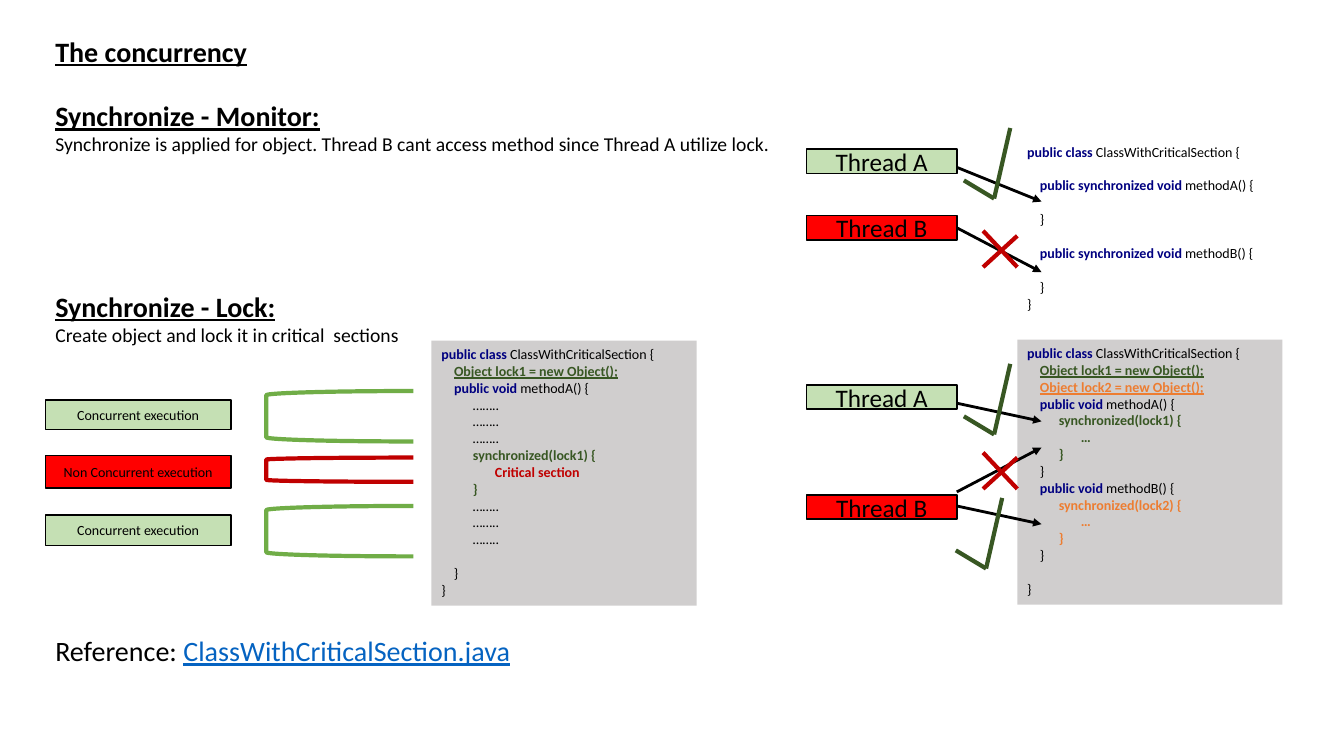
from pptx import Presentation
from pptx.dml.color import RGBColor
from pptx.enum.shapes import MSO_CONNECTOR, MSO_SHAPE
from pptx.enum.text import MSO_ANCHOR, MSO_AUTO_SIZE, PP_ALIGN
from pptx.oxml.xmlchemy import OxmlElement
from pptx.util import Emu, Pt

RECT, BRACKET = MSO_SHAPE.RECTANGLE, MSO_SHAPE.LEFT_BRACKET
STRAIGHT = MSO_CONNECTOR.STRAIGHT
TOP, MIDDLE = MSO_ANCHOR.TOP, MSO_ANCHOR.MIDDLE
GROW = MSO_AUTO_SIZE.SHAPE_TO_FIT_TEXT
CENTER, LEFT = PP_ALIGN.CENTER, PP_ALIGN.LEFT

BLACK = RGBColor(0x00, 0x00, 0x00)
NAVY = RGBColor(0x00, 0x00, 0x80)
BLUE = RGBColor(0x05, 0x63, 0xC1)
GRAY = RGBColor(0xD0, 0xCE, 0xCE)
PALE = RGBColor(0xC5, 0xE0, 0xB4)
GREEN = RGBColor(0x70, 0xAD, 0x47)
DARK = RGBColor(0x38, 0x57, 0x23)
RED = RGBColor(0xFF, 0x00, 0x00)
CRIMSON = RGBColor(0xC0, 0x00, 0x00)
ORANGE = RGBColor(0xED, 0x7D, 0x31)

PX = 9144
FONT = "Calibri"
CODE = 10
PITCH = 12.2


class Board:
    def __init__(self, slide):
        self.slide = slide

    def place(self, *nums):
        return [Emu(n * PX) for n in nums]

    def style(self, run, size, color=BLACK, bold=False, under=False):
        font = run.font
        font.name, font.size = FONT, Pt(size)
        font.bold, font.underline = bold, under
        font.color.rgb = color

    def shape(self, kind, box, fill=None, line=None, width=1):
        item = self.slide.shapes.add_shape(kind, *self.place(*box))
        item.shadow.inherit = False
        if fill is None:
            item.fill.background()
        else:
            item.fill.solid()
            item.fill.fore_color.rgb = fill
        if line is None:
            item.line.fill.background()
        else:
            item.line.color.rgb = line
            item.line.width = Pt(width)
        return item

    def label(self, box, text, size, fill):
        frame = self.shape(RECT, box, fill, BLACK).text_frame
        frame.text = text
        frame.word_wrap = True
        frame.vertical_anchor = MIDDLE
        para = frame.paragraphs[0]
        para.alignment = CENTER
        self.style(para.runs[0], size)

    def text(self, box, *lines):
        frame = self.slide.shapes.add_textbox(*self.place(*box)).text_frame
        frame.word_wrap = False
        frame.auto_size = GROW
        for i, line in enumerate(lines):
            para = frame.add_paragraph() if i else frame.paragraphs[0]
            for text, *look in line:
                run = para.add_run()
                run.text = text
                self.style(run, *look)

    def code(self, box, lines, fill=None):
        frame = self.shape(RECT, box, fill).text_frame
        frame.word_wrap = True
        frame.vertical_anchor = TOP
        para, gap = frame.paragraphs[0], 0
        for i, line in enumerate(lines):
            if not line:
                gap += PITCH
                continue
            if i:
                para = frame.add_paragraph()
            para.alignment = LEFT
            if gap:
                para.space_before = Pt(gap)
                gap = 0
            indent, *parts = line
            if indent:
                parts.insert(0, (" " * indent, BLACK))
            for text, *look in parts:
                run = para.add_run()
                run.text = text
                self.style(run, CODE, *look)

    def line(self, ends, color, width, head=False):
        item = self.slide.shapes.add_connector(STRAIGHT, *self.place(*ends))
        item.line.color.rgb = color
        item.line.width = Pt(width)
        if head:
            tip = OxmlElement("a:tailEnd")
            tip.set("type", "triangle")
            item.line._get_or_add_ln().append(tip)
        item._element.spPr.append(OxmlElement("a:effectLst"))

    def thread(self, name, y, fill):
        self.label((800, y, 149, 24), f"Thread {name}", 18, fill)

    def arrow(self, start, end):
        self.line((949, start, 1033, end), BLACK, 2, True)

    def check(self, x, y):
        self.line((x, y, x + 30, y + 18), DARK, 3)
        self.line((x + 30, y + 18, x + 46, y - 52), DARK, 3)

    def cross(self, x, y):
        self.line((x, y, x + 34, y + 36), CRIMSON, 3)
        self.line((x, y + 36, x + 34, y + 5), CRIMSON, 3)


def opening():
    return (0, ("public class ", NAVY, True), ("ClassWithCriticalSection {", BLACK))


def method(name, words="public void "):
    return (4, (words, NAVY, True), (f"method{name}() {{", BLACK))


def lock(num, color):
    return (4, (f"Object lock{num} = new Object();", color, True, True))


def sync(num, color, indent, body, tint):
    return [(10, (f"synchronized(lock{num}) {{", color, True)),
            (indent, (body, tint, True)),
            (10, ("}", color, True))]


def main():
    deck = Presentation()
    deck.slide_width, deck.slide_height = Emu(1333 * PX), Emu(750 * PX)
    board = Board(deck.slides.add_slide(deck.slide_layouts[6]))

    head = (20, BLACK, True, True)
    board.text((45, 29, 219, 44), [("The concurrency", *head)])
    board.text((45, 93, 739, 67), [("Synchronize - Monitor:", *head)],
               [("Synchronize is applied for object. Thread B cant access method "
                 "since Thread A utilize lock.", 14)])
    board.text((45, 282, 365, 67), [("Synchronize - Lock:", *head)],
               [("Create object and lock it in critical  sections", 14)])
    board.text((45, 624, 477, 44), [("Reference: ", 20),
               ("ClassWithCriticalSection.java", 20, BLUE, False, True)])

    close, end = (4, ("}", BLACK)), (0, ("}", BLACK))
    dots = [(10, ("……..", BLACK))] * 3
    board.code((428, 338, 263, 263), [
        opening(), lock(1, DARK), method("A"), *dots,
        *sync(1, DARK, 17, "Critical section", CRIMSON),
        *dots, (), close, end], GRAY)

    for y, high, color in ((388, 50, GREEN), (454, 24, CRIMSON), (502, 50, GREEN)):
        board.shape(BRACKET, (264, y, 146, high), None, color, 3)
    for y, high, word, fill in ((397, 29, "Concurrent", PALE),
                                (452, 32, "Non Concurrent", RED),
                                (511, 30, "Concurrent", PALE)):
        board.label((45, y, 184, high), f"{word} execution", 10, fill)

    guard = "public synchronized void "
    board.code((1009, 137, 263, 178), [
        opening(), (), method("A", guard), (), close, (),
        method("B", guard), (), close, end])
    board.thread("A", 148, PALE)
    board.arrow(166, 200)
    board.thread("B", 214, RED)
    board.arrow(226, 270)
    board.cross(975, 229)
    board.check(956, 179)

    board.code((1009, 337, 263, 263), [
        opening(), lock(1, DARK), lock(2, ORANGE),
        method("A"), *sync(1, DARK, 17, "…", DARK), close,
        method("B"), *sync(2, ORANGE, 17, "…", ORANGE), close, (), end], GRAY)
    board.thread("A", 382, PALE)
    board.thread("B", 491, RED)
    for start, stop in ((400, 418), (502, 520), (488, 444)):
        board.arrow(start, stop)
    board.cross(975, 449)
    board.check(956, 413)
    board.check(948, 546)

    deck.save("out.pptx")


if __name__ == "__main__":
    main()
